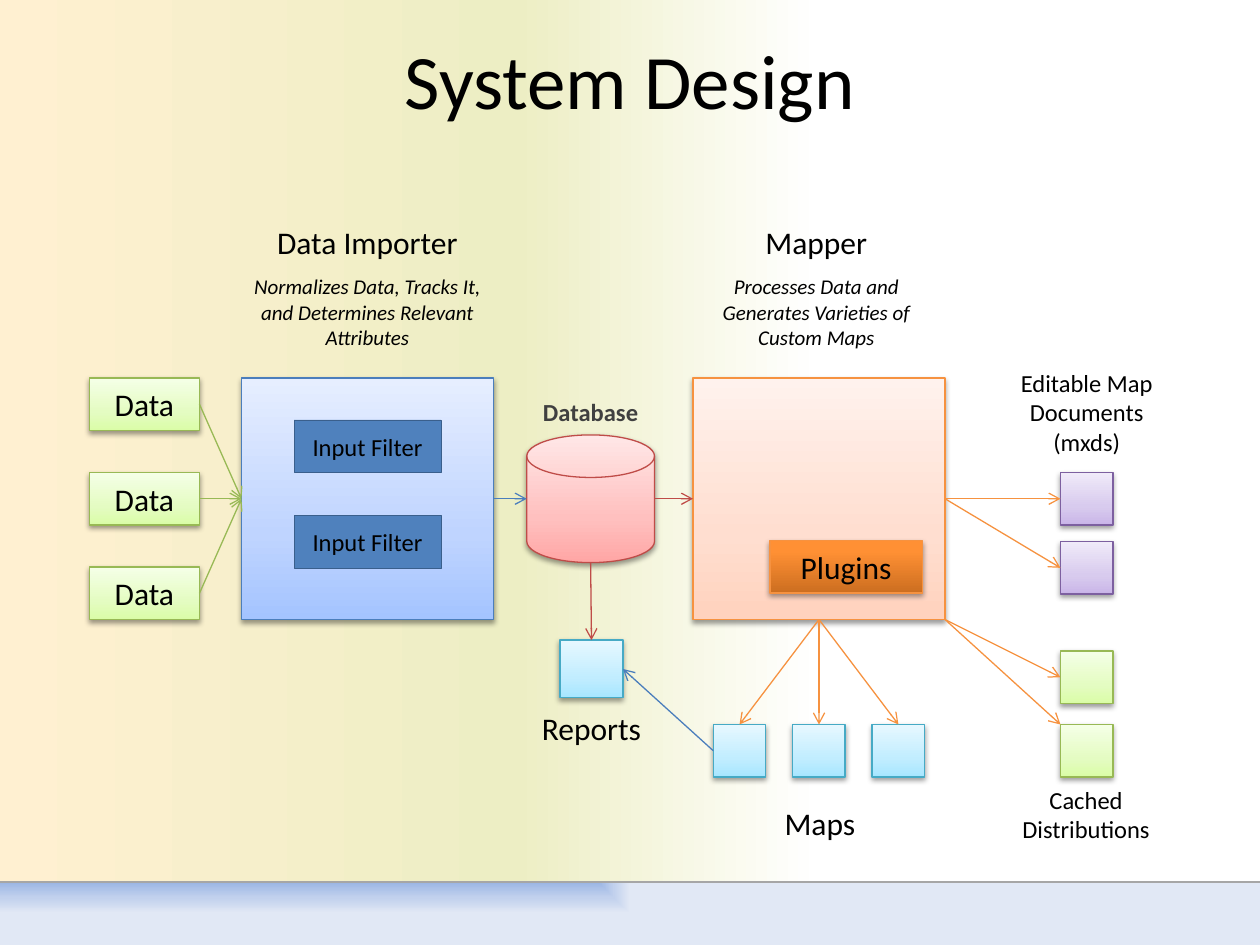
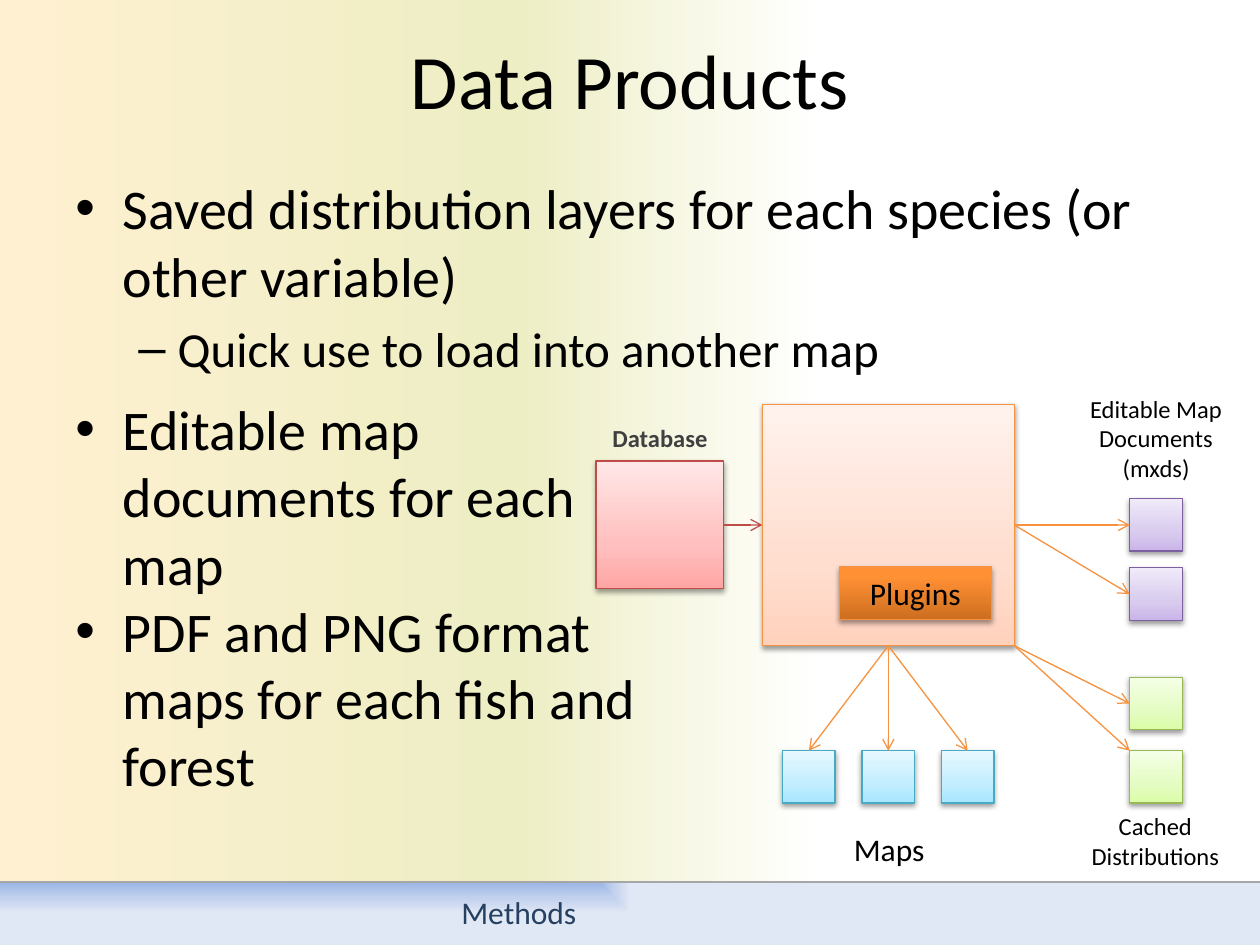
from lxml.etree import SubElement
from pptx import Presentation
from pptx.dml.color import RGBColor
from pptx.enum.shapes import MSO_CONNECTOR, MSO_SHAPE as SHAPE
from pptx.enum.text import MSO_ANCHOR as ANCHOR, PP_ALIGN as ALIGN
from pptx.oxml import parse_xml
from pptx.oxml.ns import nsdecls, qn
from pptx.util import Pt

FONT = "Calibri"
W, H, BAND_TOP = 720, 540, 504
TILE = 30
BIG_W, BIG_H = 144, 138
DISK = 73
UP = '<a:lin ang="16200000" scaled="0"/>'
ACROSS = '<a:lin ang="0" scaled="0"/>'
FROM_CORNER = '<a:path path="rect"><a:fillToRect r="100000" b="100000"/></a:path>'
BACKDROP = [(0, "FFF0D1"), (41, "EDEEC4", 38), (65, "FFFFFF"), (100, "FFFFFF")]
BAND = [(0, "9AB5E4"), (50, "C2D1ED"), (100, "E1E8F5")]
LINES = {"blue": "4B7EBC", "orange": "F69240", "green": "98B955", "purple": "7D60A0",
         "aqua": "46AAC5", "red": "BF4C48", "plugin": "F69240"}
FILLS = {
    "blue": [(0, "A4C4FF"), (35, "BFD4FF"), (100, "E6EEFF")],
    "orange": [(0, "FFD2BD"), (35, "FFDED0"), (100, "FFF2ED")],
    "green": [(0, "DAFDA7"), (35, "E4FCC2"), (100, "F5FFE7")],
    "purple": [(0, "C9B5E8"), (35, "D8CBEE"), (100, "F0EAF9")],
    "aqua": [(0, "A7E6FF"), (35, "C1EDFF"), (100, "E7F8FF")],
    "red": [(0, "FFA6A5"), (35, "FFC0BF"), (100, "FFE7E7")],
    "plugin": [(0, "CC6E20"), (80, "FF9034"), (100, "FF9136")],
}


def rgb(value):
    return RGBColor.from_string(value)


def paint(fill, parent, stops, direction):
    fill.solid()
    marks = ""
    for pos, color, *alpha in stops:
        clear = f'<a:alpha val="{alpha[0] * 1000}"/>' if alpha else ""
        marks += f'<a:gs pos="{pos * 1000}"><a:srgbClr val="{color}">{clear}</a:srgbClr></a:gs>'
    grad = parse_xml(f'<a:gradFill {nsdecls("a")} rotWithShape="1"><a:gsLst>{marks}</a:gsLst>'
                     f'{direction}</a:gradFill>')
    parent.replace(parent.find(qn("a:solidFill")), grad)


def add_para(tf, text, size=18, color="000000", bold=False, italic=False,
             align=ALIGN.CENTER, bullet=None, indent=(0, 0), before=0):
    p = tf.paragraphs[0]
    if p.runs:
        p = tf.add_paragraph()
    p.alignment = align
    if before:
        p.space_before = Pt(before)
    if bullet:
        pPr = p._p.get_or_add_pPr()
        pPr.set("marL", str(Pt(indent[0])))
        pPr.set("indent", str(Pt(indent[1])))
        SubElement(pPr, qn("a:buFont")).set("typeface", "Arial")
        SubElement(pPr, qn("a:buChar")).set("char", bullet)
    r = p.add_run()
    r.text = text
    f = r.font
    f.name, f.size, f.bold, f.italic = FONT, Pt(size), bold, italic
    f.color.rgb = rgb(color)


def add_text(s, box, text, anchor=ANCHOR.TOP, **fmt):
    tf = s.shapes.add_textbox(*map(Pt, box)).text_frame
    tf.word_wrap = True
    tf.vertical_anchor = anchor
    add_para(tf, text, **fmt)
    return tf


def add_plain(s, box, kind=SHAPE.RECTANGLE):
    sp = s.shapes.add_shape(kind, *map(Pt, box))
    sp.shadow.inherit = False
    sp.line.fill.background()
    return sp


def add_block(s, box, tint, text=None, kind=SHAPE.RECTANGLE):
    sp = add_plain(s, box, kind)
    spPr = sp.element.spPr
    paint(sp.fill, spPr, FILLS[tint], UP)
    sp.line.color.rgb = rgb(LINES[tint])
    sp.line.width = Pt(0.75)
    spPr.find(qn("a:effectLst")).append(parse_xml(
        f'<a:outerShdw {nsdecls("a")} blurRad="{Pt(3.1)}" dist="{Pt(1.6)}" dir="5400000" '
        'rotWithShape="0"><a:srgbClr val="000000"><a:alpha val="38000"/></a:srgbClr></a:outerShdw>'))
    if text:
        add_para(sp.text_frame, text)
    return sp


def add_tile(s, x, y, tint):
    return add_block(s, (x, y, TILE, TILE), tint)


def side(sp, site):
    fx, fy = ((0.5, 0), (0, 0.5), (0.5, 1), (1, 0.5))[site]
    return sp.left + int(sp.width * fx), sp.top + int(sp.height * fy)


def add_line(s, start, end, color):
    cx = s.shapes.add_connector(MSO_CONNECTOR.STRAIGHT, *start, *end)
    cx.line.color.rgb = rgb(color)
    cx.line.width = Pt(0.75)
    SubElement(cx.element.spPr, qn("a:effectLst"))
    return cx


def add_arrow(s, tint, start, end):
    ends = [side(*e) if hasattr(e[0], "shape_type") else e for e in (start, end)]
    cx = add_line(s, *ends, LINES[tint])
    for e, join in ((start, cx.begin_connect), (end, cx.end_connect)):
        if hasattr(e[0], "shape_type") and e[0].auto_shape_type == SHAPE.RECTANGLE:
            join(*e)
    SubElement(cx.element.spPr.find(qn("a:ln")), qn("a:tailEnd")).set("type", "arrow")


def start_slide(prs, title):
    s = prs.slides.add_slide(prs.slide_layouts[6])
    paint(s.background.fill, s.element.find(".//" + qn("p:bgPr")), BACKDROP, ACROSS)
    veil = add_plain(s, (486, 0, 234, 378))
    veil.fill.solid()
    veil.fill.fore_color.rgb = rgb("FFFFFF")
    SubElement(veil.element.spPr.find(".//" + qn("a:srgbClr")), qn("a:alpha")).set("val", "69000")
    band = add_plain(s, (0, BAND_TOP, W, H - BAND_TOP))
    paint(band.fill, band.element.spPr, BAND, FROM_CORNER)
    add_line(s, (0, Pt(BAND_TOP)), (Pt(W), Pt(BAND_TOP)), "A6A6A6")
    add_text(s, (36, 0, 648, 90), title, anchor=ANCHOR.MIDDLE, size=44)
    return s


def draw_heading(s, x, y, name, purpose):
    add_text(s, (x, y, BIG_W, 29), name)
    add_text(s, (x, y + 29, BIG_W, 51), purpose, size=12, italic=True)


def draw_mapper(s, x, y, database_kind):
    mapper = add_block(s, (x, y, BIG_W, BIG_H), "orange")
    add_block(s, (x + 44, y + 93, 87, TILE), "plugin", "Plugins")

    db_x = x - 95
    add_text(s, (db_x, y + 7.2, DISK, 24), "Database", size=14, bold=True, color="404040")
    database = add_block(s, (db_x, y + 32.5, DISK, DISK), "red", kind=database_kind)
    add_arrow(s, "red", (database, 3), (mapper, 1))

    maps = [add_tile(s, x + 57 + i * 45.4, y + 198, "aqua") for i in (-1, 0, 1)]
    for tile in maps:
        add_arrow(s, "orange", (mapper, 2), (tile, 0))
    add_text(s, (x + 12, y + 240, 121, 29), "Maps")

    out_x = x + 210
    add_text(s, (x + 168, y - 9.4, 114, 58), "Editable Map Documents (mxds)", size=14)
    for dy in (54, 93.5):
        add_arrow(s, "orange", (mapper, 3), (add_tile(s, out_x, y + dy, "purple"), 1))

    corner = Pt(x + BIG_W), Pt(y + BIG_H)
    upper, lower = [add_tile(s, out_x, y + dy, "green") for dy in (156, 198)]
    add_arrow(s, "orange", corner, (upper, 1))
    add_arrow(s, "orange", corner, (lower.left, lower.top))
    add_text(s, (x + 165.6, y + 229, 118, 41), "Cached Distributions", size=14)
    return database, maps


def draw_importer(s, x, y):
    importer = add_block(s, (x, y, BIG_W, BIG_H), "blue")
    for dy in (24, 78.7):
        sp = add_plain(s, (x + 30, y + dy, 84, TILE))
        sp.fill.solid()
        sp.fill.fore_color.rgb = rgb("4F81BD")
        sp.line.color.rgb = rgb("3A5F8C")
        sp.line.width = Pt(0.5)
        add_para(sp.text_frame, "Input Filter", size=14)
    for i in range(3):
        data = add_block(s, (x - 87, y + i * 54, 63, TILE), "green", "Data")
        add_arrow(s, "green", (data, 3), (importer, 1))
    return importer


def draw_reports(s, x, y, database, first_map):
    reports = add_block(s, (x, y, 36, 33), "aqua")
    add_text(s, (x - 18.5, y + 36, DISK, 29), "Reports")
    add_arrow(s, "red", (database, 2), (reports, 0))
    add_arrow(s, "blue", (first_map, 1), (reports, 3))


def system_design(prs):
    s = start_slide(prs, "System Design")
    draw_heading(s, 138, 124, "Data Importer",
                 "Normalizes Data, Tracks It, and Determines Relevant Attributes")
    draw_heading(s, 394.5, 124, "Mapper",
                 "Processes Data and Generates Varieties of Custom Maps")
    importer = draw_importer(s, 138, 216)
    database, maps = draw_mapper(s, 396, 216, SHAPE.FLOWCHART_MAGNETIC_DISK)
    add_arrow(s, "blue", (importer, 3), (database, 1))
    draw_reports(s, 320, 365.8, database, maps[0])


def data_products(prs):
    s = start_slide(prs, "Data Products")
    point = dict(size=32, align=ALIGN.LEFT, bullet="•", indent=(27, -27))
    tf = add_text(s, (36, 95.8, 648, 138),
                  "Saved distribution layers for each species (or other variable)", **point)
    add_para(tf, "Quick use to load into another map", size=28, align=ALIGN.LEFT,
             bullet="–", indent=(58.5, -22.5), before=5.6)
    tf = add_text(s, (36, 222, 342, 240), "Editable map documents for each map", **point)
    add_para(tf, "PDF and PNG format maps for each fish and forest", **point)
    draw_mapper(s, 435.6, 231, SHAPE.RECTANGLE)
    add_text(s, (187, 507, 219, 29), "Methods", color="254061")


def main():
    prs = Presentation()
    prs.slide_width, prs.slide_height = Pt(W), Pt(H)
    system_design(prs)
    data_products(prs)
    prs.save("out.pptx")


if __name__ == "__main__":
    main()
